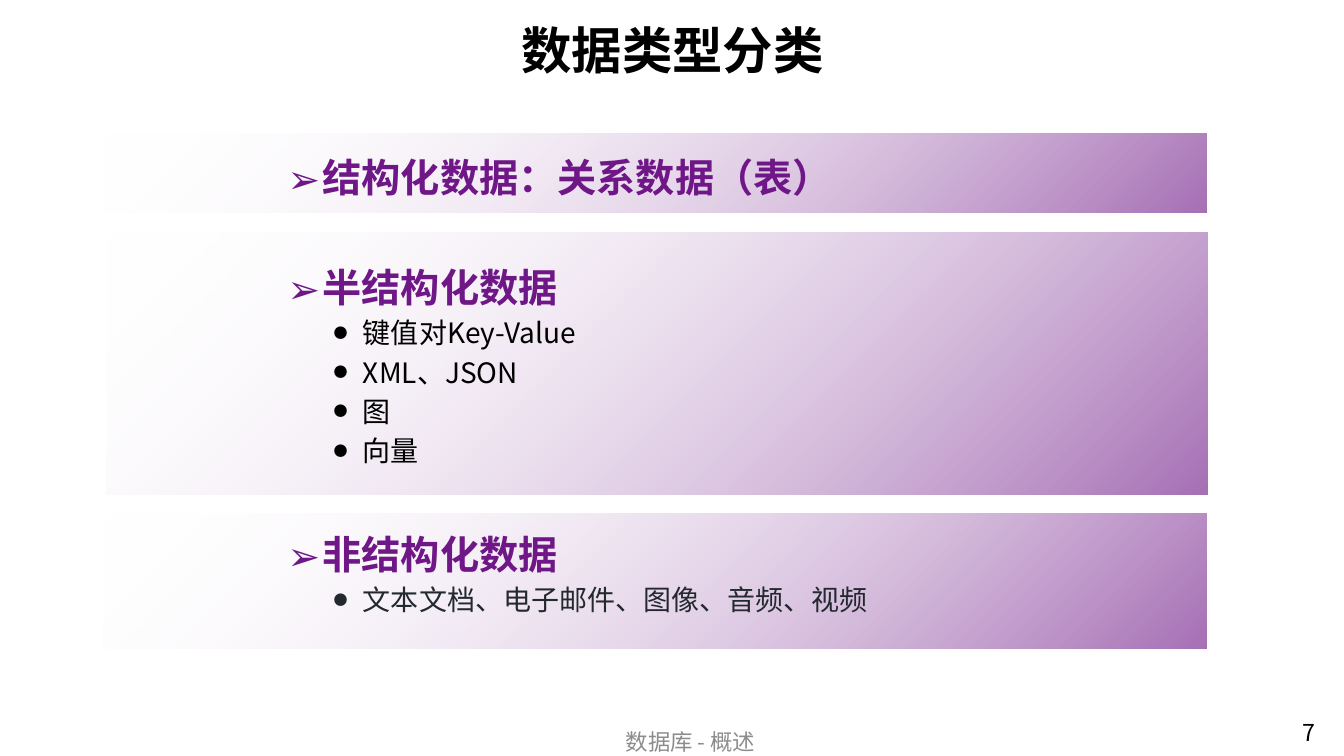
import lxml.etree
import pptx
import pptx.dml.color
import pptx.enum.shapes
import pptx.enum.text
import pptx.oxml.ns
import pptx.util

Inches = pptx.util.Inches
Pt = pptx.util.Pt
Align = pptx.enum.text.PP_ALIGN
Anchor = pptx.enum.text.MSO_ANCHOR
qn = pptx.oxml.ns.qn

FONT = "Noto Sans CJK SC"
PURPLE = "6F1787"
BANDS = [
    (1.06, 2.31, 10.92, 2.6),
    (1.03, 5.09, 10.94, 1.34),
    (1.03, 1.32, 10.94, 0.79),
]
TOPICS = [
    ("结构化数据：关系数据（表）", [], "000000"),
    ("半结构化数据", ["键值对Key-Value", "XML、JSON", "图", "向量"], "000000"),
    ("非结构化数据", ["文本文档、电子邮件、图像、音频、视频"], "24292F"),
]


def rgb(code):
    """Turn a hex string into a colour."""
    return pptx.dml.color.RGBColor.from_string(code)


def place(shape, box):
    """Move a shape to a box given in inches."""
    shape.left, shape.top, shape.width, shape.height = map(Inches, box)


def style(para, size, color, bold=False):
    """Format the runs of a paragraph."""
    for run in para.runs:
        font = run.font
        font.size, font.bold, font.name = Pt(size), bold, FONT
        font.color.rgb = rgb(color)
        lxml.etree.SubElement(font._element, qn("a:ea"), typeface=FONT)


def bullet(para, char, scale, left, hang):
    """Give a paragraph a hanging bullet."""
    props = para._p.get_or_add_pPr()
    props.set("marL", str(Inches(left)))
    props.set("indent", str(-Inches(hang)))
    lxml.etree.SubElement(props, qn("a:buSzPct"), val=str(scale * 1000))
    lxml.etree.SubElement(props, qn("a:buFont"), typeface=FONT)
    lxml.etree.SubElement(props, qn("a:buChar"), char=char)


def band(slide, box):
    """Draw a band fading from purple to clear, behind the text."""
    kind = pptx.enum.shapes.MSO_SHAPE.RECTANGLE
    shape = slide.shapes.add_shape(kind, *map(Inches, box))
    shape.shadow.inherit = False
    shape.line.fill.background()
    shape.fill.gradient()
    shape.fill.gradient_angle = 135
    for stop, color in zip(shape.fill.gradient_stops, (PURPLE, "FFFFFF")):
        stop.color.rgb = rgb(color)
    tints = shape._element.spPr.iter(qn("a:srgbClr"))
    for tint, alpha in zip(list(tints), (62, 0)):
        lxml.etree.SubElement(tint, qn("a:alpha"), val=str(alpha * 1000))
    slide.shapes._spTree.insert(2, shape._element)


def heading(slide, box):
    """Fill the title."""
    title = slide.shapes.title
    place(title, box)
    frame = title.text_frame
    frame.text = "数据类型分类"
    frame.vertical_anchor = Anchor.MIDDLE
    frame.paragraphs[0].alignment = Align.CENTER
    style(frame.paragraphs[0], 36, "000000", True)


def topics(slide, box):
    """Fill the body with the data types and their examples."""
    body = slide.placeholders[1]
    place(body, box)
    frame = body.text_frame
    frame.auto_size = pptx.enum.text.MSO_AUTO_SIZE.NONE
    frame.vertical_anchor = Anchor.TOP
    frame.margin_top = 0
    lines = [t for name, items, _ in TOPICS for t in [name, *items]]
    frame.text = "\n".join(lines)
    paras = iter(frame.paragraphs)
    for index, (_, items, color) in enumerate(TOPICS):
        para = next(paras)
        bullet(para, "➢", 100, 0.35, 0.35)
        para.space_before = Pt(38.6 if index else 0)
        para.line_spacing = Pt(40)
        style(para, 28, PURPLE, True)
        for _ in items:
            para = next(paras)
            para.level = 1
            bullet(para, "●", 50, 0.75, 0.29)
            para.space_before = Pt(0)
            para.line_spacing = Pt(28)
            style(para, 20, color)


def label(slide, box, text, size, color, align, anchor):
    """Add a one-line text box."""
    frame = slide.shapes.add_textbox(*map(Inches, box)).text_frame
    frame.word_wrap = True
    frame.margin_top = frame.margin_bottom = 0
    frame.vertical_anchor = anchor
    frame.text = text
    frame.paragraphs[0].alignment = align
    style(frame.paragraphs[0], size, color)


def main():
    """Build and save the slide."""
    deck = pptx.Presentation()
    deck.slide_width, deck.slide_height = Inches(13.33), Inches(7.5)
    slide = deck.slides.add_slide(deck.slide_layouts[1])
    for box in BANDS:
        band(slide, box)
    heading(slide, (1.15, 0.12, 11.04, 0.74))
    topics(slide, (2.75, 1.43, 12.67, 5.47))
    label(slide, (12.82, 7.13, 0.67, 0.52), "7", 16.6, "000000",
          Align.LEFT, Anchor.TOP)
    label(slide, (4.78, 7.21, 4.14, 0.29), "数据库 - 概述", 16, "8C8C8C",
          Align.CENTER, Anchor.MIDDLE)
    deck.save("out.pptx")


if __name__ == "__main__":
    main()
